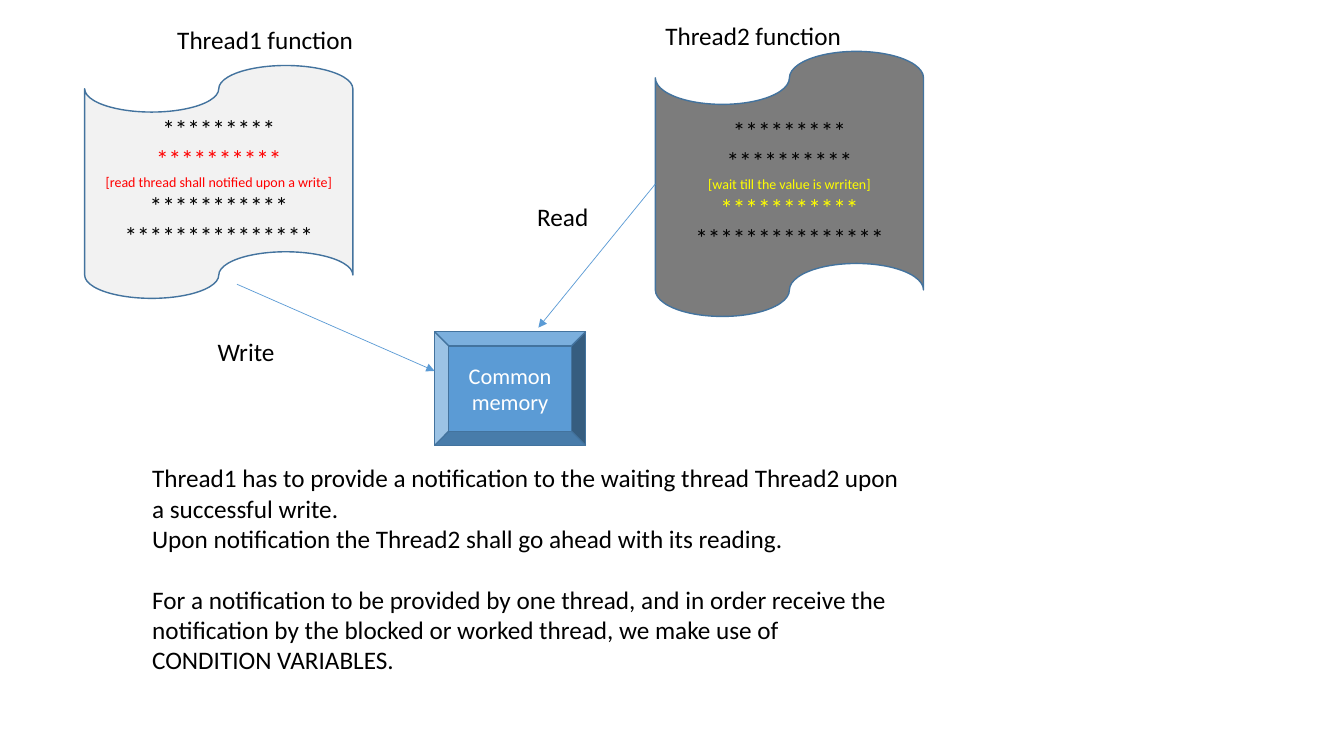
from dataclasses import dataclass

from lxml import etree
from pptx import Presentation
from pptx.dml.color import RGBColor
from pptx.enum import shapes, text
from pptx.oxml.ns import qn
from pptx.util import Inches, Pt


@dataclass(frozen=True)
class Theme:
    font: str = "Calibri"
    body_size: float = 18
    box_size: float = 16
    note_size: float = 10
    paragraph_gap: float = 22
    outline_width: float = 1
    arrow_width: float = 0.5
    black: str = "000000"
    white: str = "FFFFFF"
    red: str = "FF0000"
    yellow: str = "FFFF00"
    light_tape: str = "F2F2F2"
    dark_tape: str = "7C7C7C"
    blue: str = "5B9BD5"
    outline: str = "43739E"


class SlideBuilder:
    def __init__(self, slide, theme):
        self.slide = slide
        self.theme = theme

    def fill_text(self, frame, lines, alignment):
        """Fill a frame with (wording, size, colour) lines."""
        frame.word_wrap = True
        for index, (wording, size, colour) in enumerate(lines):
            paragraph = frame.paragraphs[0] if index == 0 else frame.add_paragraph()
            paragraph.text = wording
            paragraph.alignment = alignment
            paragraph.font.name = self.theme.font
            paragraph.font.size = Pt(size)
            paragraph.font.color.rgb = RGBColor.from_string(colour)

    def add_box(self, kind, left, top, width, height, fill, lines):
        shape = self.slide.shapes.add_shape(
            kind, Inches(left), Inches(top), Inches(width), Inches(height))
        shape.shadow.inherit = False
        shape.fill.solid()
        shape.fill.fore_color.rgb = RGBColor.from_string(fill)
        shape.line.color.rgb = RGBColor.from_string(self.theme.outline)
        shape.line.width = Pt(self.theme.outline_width)
        shape.text_frame.vertical_anchor = text.MSO_ANCHOR.MIDDLE
        self.fill_text(shape.text_frame, lines, text.PP_ALIGN.CENTER)
        return shape

    def add_text(self, left, top, width, height, *wordings):
        box = self.slide.shapes.add_textbox(
            Inches(left), Inches(top), Inches(width), Inches(height))
        lines = [(wording, self.theme.body_size, self.theme.black) for wording in wordings]
        self.fill_text(box.text_frame, lines, text.PP_ALIGN.LEFT)
        box.text_frame.auto_size = text.MSO_AUTO_SIZE.SHAPE_TO_FIT_TEXT
        return box

    def add_arrow(self, start, end):
        connector = self.slide.shapes.add_connector(
            shapes.MSO_CONNECTOR.STRAIGHT, *map(Inches, start + end))
        connector.line.color.rgb = RGBColor.from_string(self.theme.blue)
        connector.line.width = Pt(self.theme.arrow_width)
        properties = connector.element.spPr
        etree.SubElement(properties.find(qn("a:ln")), qn("a:tailEnd"), type="triangle")
        etree.SubElement(properties, qn("a:effectLst"))
        return connector


def code_lines(theme, note, colours):
    """Rows of asterisks standing for code, with a small note in the middle."""
    wordings = ["*" * 9, "*" * 10, note, "*" * 11, "*" * 15]
    sizes = [theme.note_size if wording == note else theme.body_size for wording in wordings]
    return list(zip(wordings, sizes, colours))


def main():
    presentation = Presentation()
    presentation.slide_width = Inches(13.33)
    presentation.slide_height = Inches(7.5)
    theme = Theme()
    black, red, yellow = theme.black, theme.red, theme.yellow
    builder = SlideBuilder(
        presentation.slides.add_slide(presentation.slide_layouts[6]), theme)
    tape = shapes.MSO_SHAPE.FLOWCHART_PUNCHED_TAPE

    builder.add_box(
        tape, 0.84, 0.65, 2.66, 2.31, theme.light_tape,
        code_lines(theme, "[read thread shall notified upon a write]",
                   [black, red, red, black, black]))
    reader = builder.add_box(
        tape, 6.5, 0.51, 2.66, 2.63, theme.dark_tape,
        code_lines(theme, "[wait till the value is wrriten]",
                   [black, black, yellow, yellow, black]))
    builder.add_box(
        shapes.MSO_SHAPE.BEVEL, 4.31, 3.29, 1.5, 1.13, theme.blue,
        [("Common memory", theme.box_size, theme.white)])

    builder.add_arrow((2.35, 2.82), (4.31, 3.68))
    read_arrow = builder.add_arrow((6.5, 1.82), (5.34, 3.25))
    read_arrow.begin_connect(reader, 1)

    for wording, left, top, width in [
        ("Thread1 function", 1.66, 0.19, 2.34),
        ("Thread2 function", 6.5, 0.15, 2.34),
        ("Write", 2.06, 3.29, 1.27),
        ("Read", 5.23, 1.95, 1.27),
    ]:
        builder.add_text(left, top, width, 0.4, wording)

    explanation = builder.add_text(
        1.41, 4.54, 7.65, 2.22,
        "Thread1 has to provide a notification to the waiting thread Thread2 upon "
        "a successful write.",
        "Upon notification the Thread2 shall go ahead with its reading.",
        "For a notification to be provided by one thread, and in order receive the "
        "notification by the blocked or worked thread, we make use of "
        "CONDITION VARIABLES.")
    explanation.text_frame.paragraphs[-1].space_before = Pt(theme.paragraph_gap)

    presentation.save("out.pptx")


if __name__ == "__main__":
    main()
